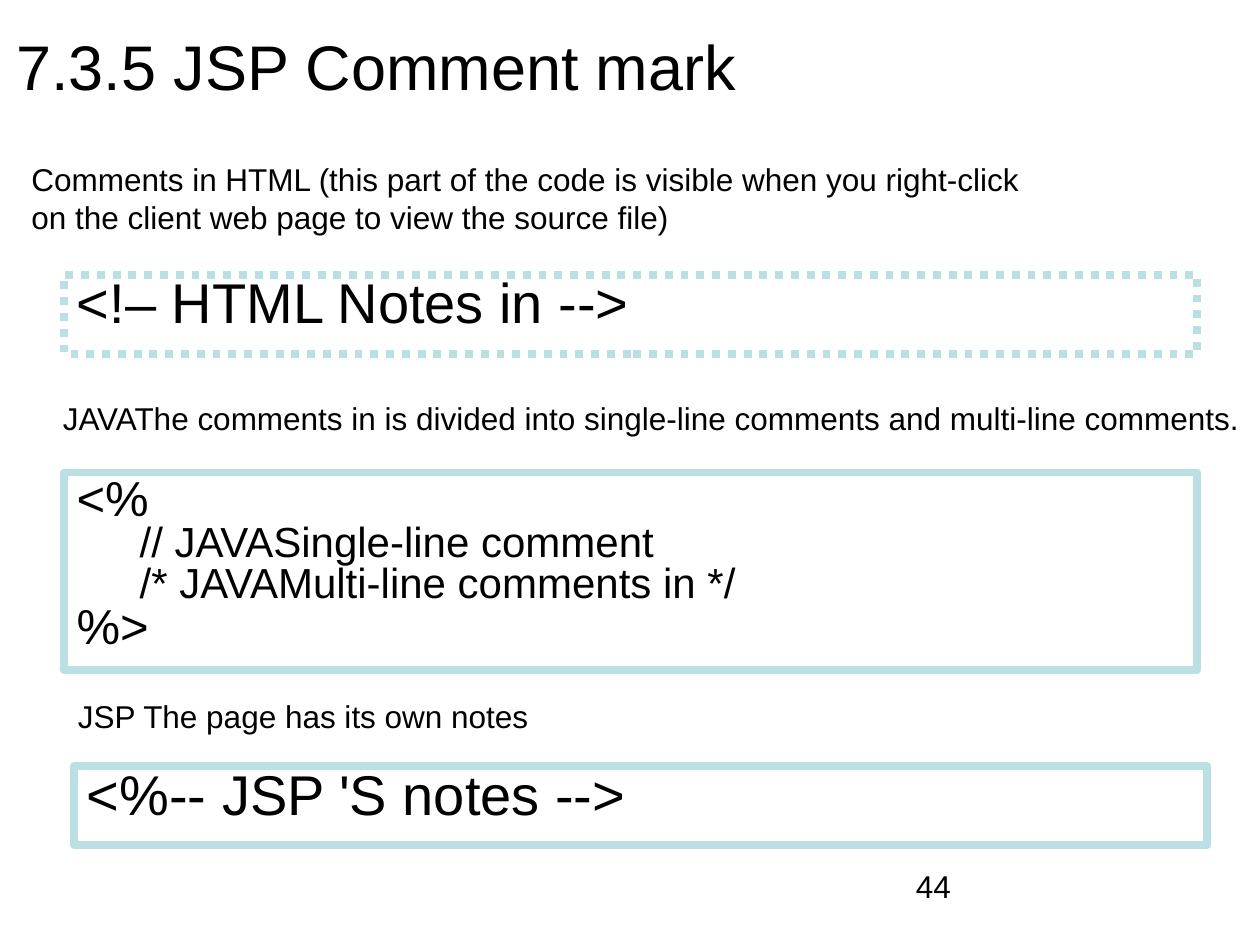
"""Build the slide on comment marks in JSP pages."""
from pptx import Presentation, util as u
from pptx.dml.color import RGBColor
from pptx.enum import dml, shapes, text
from pptx.oxml.ns import qn

COLORS = {"ink": "000000", "edge": "BBE0E3"}
FONT = "Arial"


def write(shape, lines, size=18, wrap=True, grow=False, mid=False, space=1.0, hang=False):
    """Fill a shape with lines, each a string or (string, size, level)."""
    frame = shape.text_frame
    frame.word_wrap = wrap
    fit = text.MSO_AUTO_SIZE
    frame.auto_size = fit.SHAPE_TO_FIT_TEXT if grow else fit.NONE
    frame.vertical_anchor = text.MSO_ANCHOR.MIDDLE if mid else text.MSO_ANCHOR.TOP
    for i, line in enumerate(lines):
        words, pts, level = (line, size, 0) if isinstance(line, str) else line
        para = frame.paragraphs[0] if i == 0 else frame.add_paragraph()
        para.alignment = text.PP_ALIGN.LEFT
        para.level = level
        para.line_spacing = space
        para.space_before = para.space_after = u.Pt(0)
        if hang:
            left, first = (0.81, -0.31) if level else (0.01, -0.01)
            props = para._p.get_or_add_pPr()
            props.set("marL", str(u.Inches(left)))
            props.set("indent", str(u.Inches(first)))
            props.append(props.makeelement(qn("a:buNone"), {}))
        run = para.add_run()
        run.text = words
        run.font.name = FONT
        run.font.size = u.Pt(pts)
        run.font.color.rgb = RGBColor.from_string(COLORS["ink"])


deck = Presentation()
deck.slide_width, deck.slide_height = u.Inches(10), u.Inches(7.5)
slide = deck.slides.add_slide(deck.slide_layouts[1])

title = slide.shapes.title
title.left, title.top = u.Inches(0.03), u.Inches(0.05)
title.width, title.height = u.Inches(9), u.Inches(0.94)
write(title, ["7.3.5 JSP Comment mark"], size=36, mid=True)

codes = [
    (0.51, 2.18, 0.63, ["<!– HTML Notes in -->"]),
    (0.51, 3.75, 1.57, [
        ("<%", 28, 0),
        ("// JAVASingle-line comment", 24, 1),
        ("/* JAVAMulti-line comments in */", 24, 1),
        ("%>", 28, 0),
    ]),
    (0.59, 6.08, 0.63, ["<%-- JSP 'S notes -->"]),
]
for i, (left, top, height, lines) in enumerate(codes):
    place = [u.Inches(n) for n in (left, top, 8.99, height)]
    if i == 0:
        box = slide.placeholders[1]
        box.left, box.top, box.width, box.height = place
        box.line.dash_style = dml.MSO_LINE.ROUND_DOT
    else:
        box = slide.shapes.add_shape(shapes.MSO_SHAPE.RECTANGLE, *place)
        box.shadow.inherit = False
    box.fill.background()
    box.line.color.rgb = RGBColor.from_string(COLORS["edge"])
    box.line.width = u.Pt(4.5)
    write(box, lines, size=32, space=0.8, hang=True)

notes = [
    (0.15, 1.22, 8.12, 0.7, [
        "Comments in HTML (this part of the code is visible when you right-click",
        "on the client web page to view the source file)",
    ]),
    (0.4, 3.12, 9.59, 0.4, [
        "JAVAThe comments in is divided into single-line comments and multi-line comments.",
    ]),
    (0.52, 5.48, 3.78, 0.4, ["JSP The page has its own notes"]),
]
for *place, lines in notes:
    note = slide.shapes.add_textbox(*[u.Inches(n) for n in place])
    write(note, lines, wrap=False, grow=True)

page = slide.shapes.add_textbox(u.Inches(7.17), u.Inches(6.83), u.Inches(2.33), u.Inches(0.52))
write(page, ["44"])

deck.save("out.pptx")
